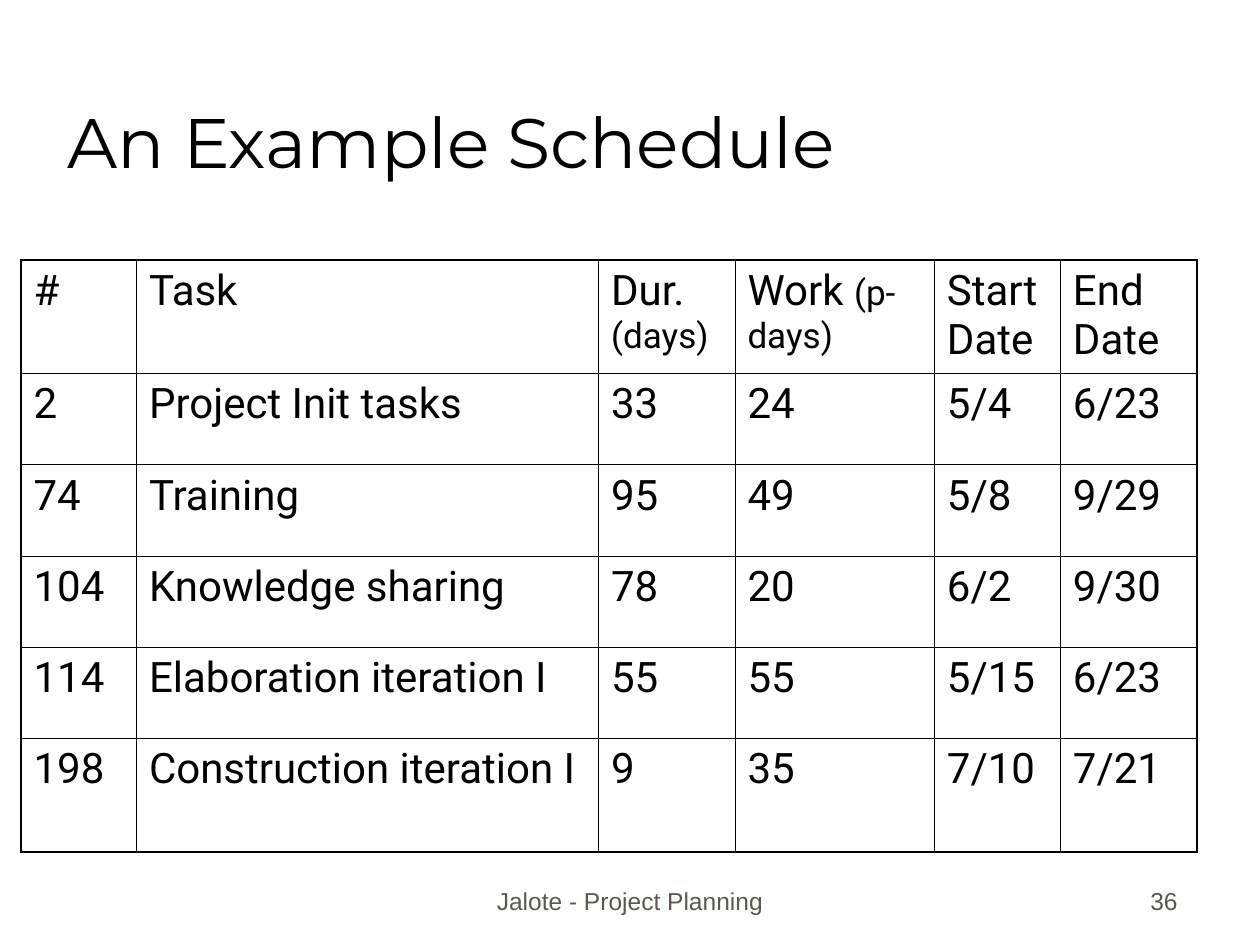
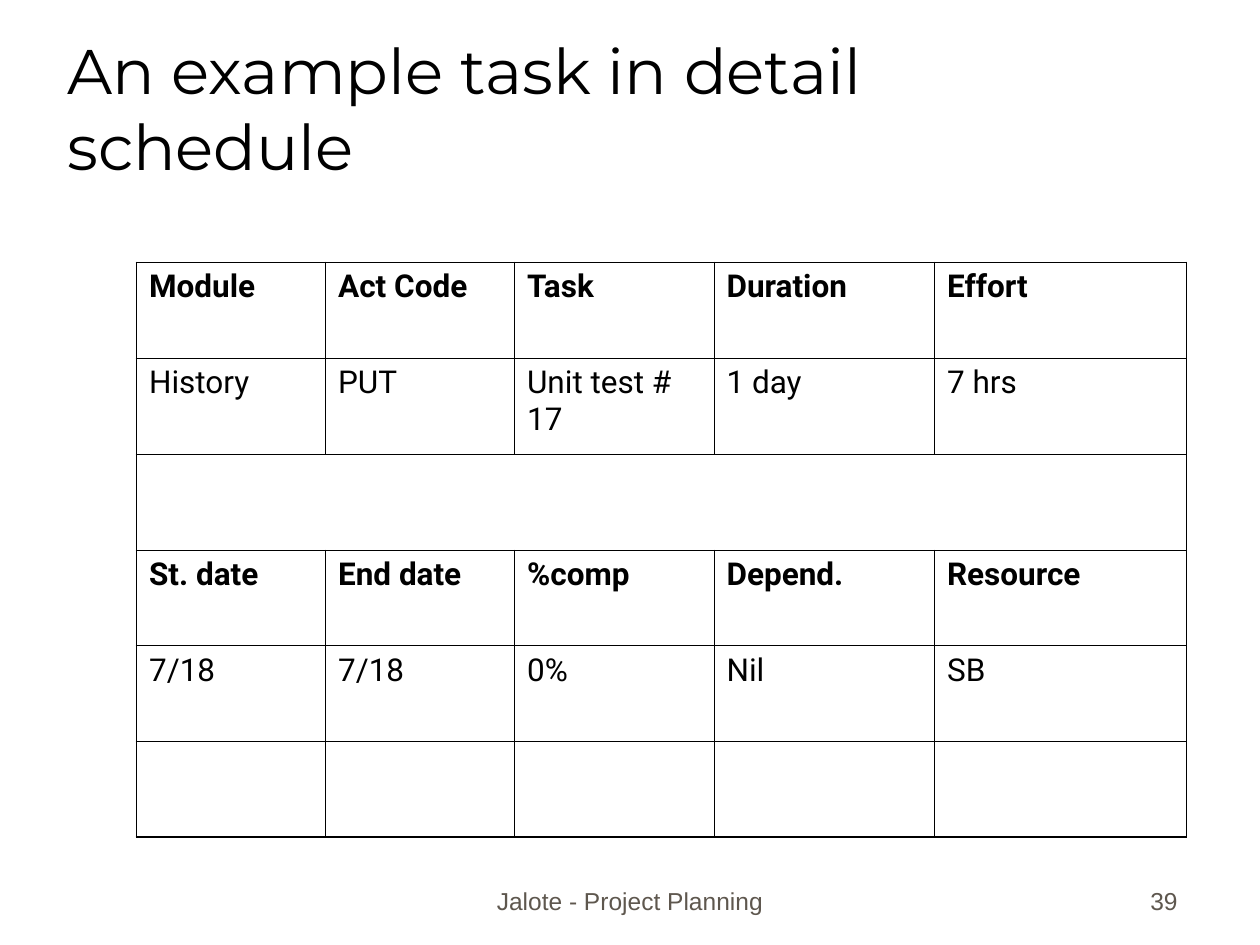
from lxml import etree
from pptx import Presentation
from pptx.dml.color import RGBColor
from pptx.enum.text import MSO_ANCHOR, PP_ALIGN
from pptx.oxml.ns import qn
from pptx.util import Pt

LEFT, CENTER, RIGHT = PP_ALIGN.LEFT, PP_ALIGN.CENTER, PP_ALIGN.RIGHT
BOTTOM = MSO_ANCHOR.BOTTOM

COLORS = {"text": "000000", "footer": "5E574E", "border": "000000"}
TITLE_FONT, BODY_FONT, FOOTER_FONT = "Montserrat", "Roboto", "Arial"
OUTER_BORDER, INNER_BORDER = 1.08, 0.45
NOTE_SIZE = 20

# A cell given as a pair is a heading followed by a smaller note.
schedule = {
    "title": "An Example Schedule",
    "title_size": 40,
    "number": "36",
    "left": 12, "top": 148.5,
    "widths": [66, 264, 78, 114, 72, 78],
    "heights": [64.8, 52.2, 52.2, 52.2, 52.2, 64.8],
    "text_size": 24,
    "bold_rows": [],
    "merged_rows": [],
    "rows": [
        ["#", "Task", ("Dur. ", "(days)"), ("Work ", "(p-days)"), "Start Date", "End Date"],
        ["2", "Project Init tasks", "33", "24", "5/4", "6/23"],
        ["74", "Training", "95", "49", "5/8", "9/29"],
        ["104", "Knowledge sharing", "78", "20", "6/2", "9/30"],
        ["114", "Elaboration iteration I", "55", "55", "5/15", "6/23"],
        ["198", "Construction iteration I", "9", "35", "7/10", "7/21"],
    ],
}
task_detail = {
    "title": "An example task in detail schedule",
    "title_size": 36,
    "number": "39",
    "left": 78, "top": 150,
    "widths": [108, 108, 114, 126, 144],
    "heights": [54.75] * 6,
    "text_size": 18,
    "bold_rows": [0, 3],
    "merged_rows": [2],
    "rows": [
        ["Module", "Act Code", "Task", "Duration", "Effort"],
        ["History", "PUT", "Unit test # 17", "1 day", "7 hrs"],
        [""] * 5,
        ["St. date", "End date", "%comp", "Depend.", "Resource"],
        ["7/18", "7/18", "0%", "Nil", "SB"],
        [""] * 5,
    ],
}


def add_text(slide, text, box, font_name, size, color, alignment):
    """Add a one-paragraph text box anchored at its bottom edge."""
    frame = slide.shapes.add_textbox(*[Pt(length) for length in box]).text_frame
    frame.word_wrap = True
    frame.vertical_anchor = BOTTOM
    paragraph = frame.paragraphs[0]
    paragraph.text = text
    paragraph.alignment = alignment
    paragraph.font.name = font_name
    paragraph.font.size = Pt(size)
    paragraph.font.color.rgb = RGBColor.from_string(COLORS[color])


def set_borders(cell, outer_edges):
    """Draw all four borders, heavier where the edge is on the table's outside."""
    properties = cell._tc.get_or_add_tcPr()
    for edge, is_outer in zip("LRTB", outer_edges):
        width = OUTER_BORDER if is_outer else INNER_BORDER
        line = etree.SubElement(properties, qn(f"a:ln{edge}"), w=str(Pt(width)))
        fill = etree.SubElement(line, qn("a:solidFill"))
        etree.SubElement(fill, qn("a:srgbClr"), val=COLORS["border"])


presentation = Presentation()
presentation.slide_width, presentation.slide_height = Pt(720), Pt(540)

for content in (schedule, task_detail):
    slide = presentation.slides.add_slide(presentation.slide_layouts[6])
    add_text(slide, "Jalote - Project Planning", (246, 490.5, 228, 36),
             FOOTER_FONT, 14, "footer", CENTER)
    add_text(slide, content["number"], (530, 490.5, 150, 36),
             FOOTER_FONT, 14, "footer", RIGHT)
    add_text(slide, content["title"], (31.5, 18, 612, 90),
             TITLE_FONT, content["title_size"], "text", LEFT)

    rows, widths, heights = content["rows"], content["widths"], content["heights"]
    table = slide.shapes.add_table(
        len(rows), len(widths), Pt(content["left"]), Pt(content["top"]),
        Pt(sum(widths)), Pt(sum(heights))).table
    table.first_row = table.horz_banding = False
    for column, width in zip(table.columns, widths):
        column.width = Pt(width)
    for row, height in zip(table.rows, heights):
        row.height = Pt(height)
    for row_index in content["merged_rows"]:
        table.cell(row_index, 0).merge(table.cell(row_index, len(widths) - 1))

    for row_index, row in enumerate(rows):
        for column_index, value in enumerate(row):
            cell = table.cell(row_index, column_index)
            last_column = column_index + cell.span_width == len(widths)
            set_borders(cell, (column_index == 0, last_column,
                               row_index == 0, row_index == len(rows) - 1))
            cell.fill.background()
            paragraph = cell.text_frame.paragraphs[0]
            paragraph.font.name = BODY_FONT
            paragraph.font.size = Pt(content["text_size"])
            paragraph.font.bold = row_index in content["bold_rows"]
            paragraph.font.color.rgb = RGBColor.from_string(COLORS["text"])
            if isinstance(value, tuple):
                heading, note = value
                paragraph.add_run().text = heading
                note_run = paragraph.add_run()
                note_run.text = note
                note_run.font.size = Pt(NOTE_SIZE)
            elif value:
                paragraph.add_run().text = value

presentation.save("out.pptx")
